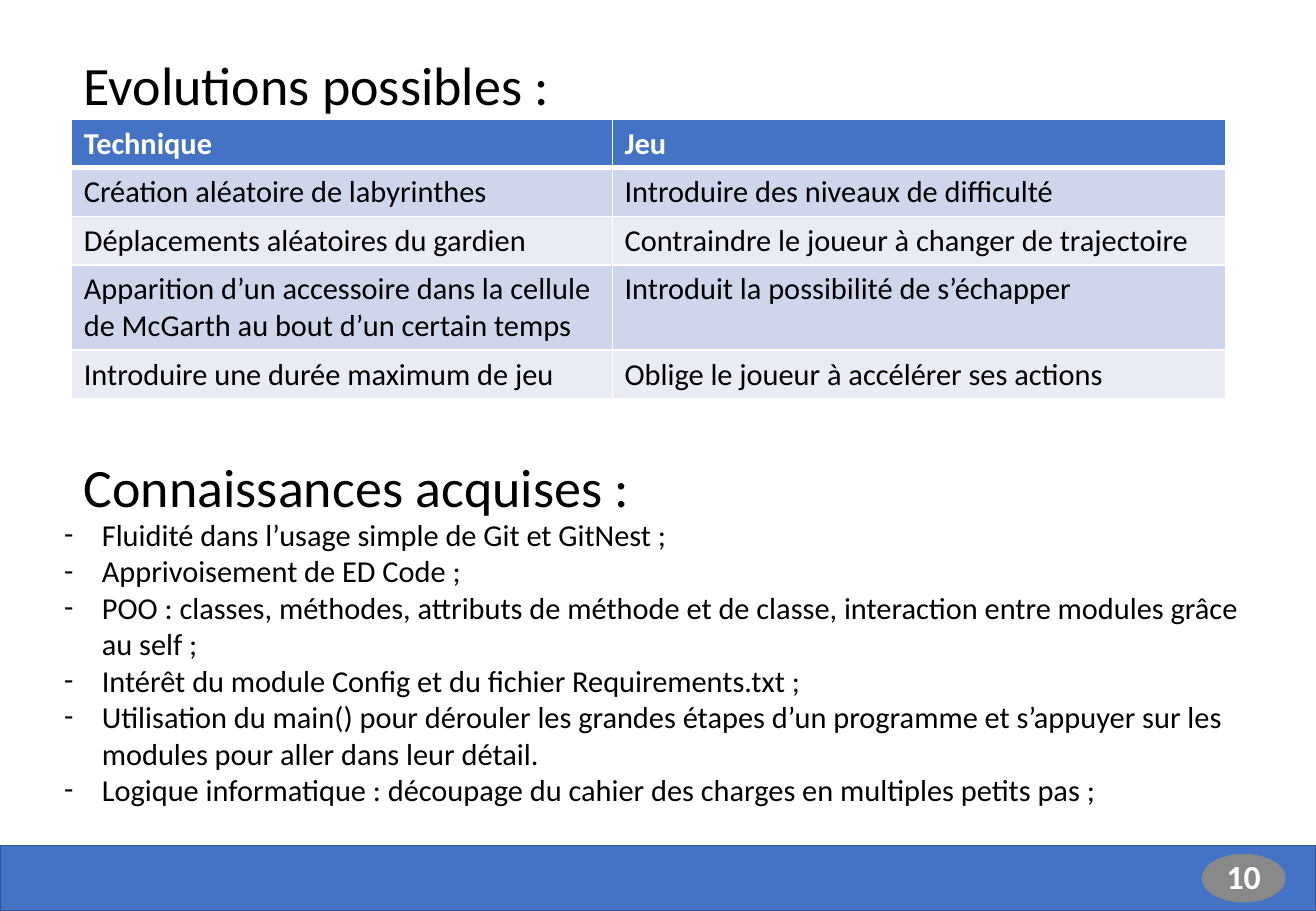
from lxml import etree
from pptx import Presentation
from pptx.dml.color import RGBColor
from pptx.enum.shapes import MSO_SHAPE
from pptx.enum.text import MSO_ANCHOR, PP_ALIGN
from pptx.oxml.ns import qn
from pptx.util import Inches, Pt

RECTANGLE, OVAL = MSO_SHAPE.RECTANGLE, MSO_SHAPE.OVAL
BOTTOM, MIDDLE = MSO_ANCHOR.BOTTOM, MSO_ANCHOR.MIDDLE
CENTER = PP_ALIGN.CENTER

COLORS = {
    "blue": "4472C4",
    "outline": "325491",
    "badge": "898989",
    "band_dark": "CFD5EA",
    "band_light": "E9EBF5",
    "white": "FFFFFF",
    "black": "000000",
}
HEADING = {"size": Pt(32), "bold": False}
BODY = {"size": Pt(18), "bold": False}
HEADER = {"size": Pt(18), "bold": True}
NUMBER = {"size": Pt(20), "bold": True}

EVOLUTIONS = [
    ("Technique", "Jeu"),
    ("Création aléatoire de labyrinthes", "Introduire des niveaux de difficulté"),
    ("Déplacements aléatoires du gardien", "Contraindre le joueur à changer de trajectoire"),
    ("Apparition d’un accessoire dans la cellule de McGarth au bout d’un certain temps",
     "Introduit la possibilité de s’échapper"),
    ("Introduire une durée maximum de jeu", "Oblige le joueur à accélérer ses actions"),
]
SKILLS = [
    "Fluidité dans l’usage simple de Git et GitNest ;",
    "Apprivoisement de ED Code ;",
    "POO : classes, méthodes, attributs de méthode et de classe, interaction entre modules grâce au self ;",
    "Intérêt du module Config et du fichier Requirements.txt ;",
    "Utilisation du main() pour dérouler les grandes étapes d’un programme et s’appuyer sur les "
    "modules pour aller dans leur détail.",
    "Logique informatique : découpage du cahier des charges en multiples petits pas ;",
]


def rgb(name):
    return RGBColor.from_string(COLORS[name])


def write(paragraph, text, style, color="black"):
    run = paragraph.add_run()
    run.text = text
    run.font.name = "Calibri"
    run.font.color.rgb = rgb(color)
    for attribute, value in style.items():
        setattr(run.font, attribute, value)


def add_plain_shape(slide, kind, box, fill):
    shape = slide.shapes.add_shape(kind, *map(Inches, box))
    shape.shadow.inherit = False
    shape.fill.solid()
    shape.fill.fore_color.rgb = rgb(fill)
    shape.line.fill.background()
    return shape


def add_footer(slide, box, number):
    left, top, width, height = box
    band = add_plain_shape(slide, RECTANGLE, box, "blue")
    band.line.color.rgb = rgb("outline")
    band.line.width = Pt(1)
    badge_box = (left + width - 0.94, top + 0.07, 0.69, height - 0.14)
    badge = add_plain_shape(slide, OVAL, badge_box, "badge")
    frame = badge.text_frame
    frame.word_wrap = False
    frame.vertical_anchor = MIDDLE
    paragraph = frame.paragraphs[0]
    paragraph.alignment = CENTER
    paragraph.line_spacing = 0.9
    paragraph.space_after = Pt(6)
    write(paragraph, number, NUMBER, "white")


def add_heading(slide, box, text):
    frame = slide.shapes.add_textbox(*map(Inches, box)).text_frame
    frame.word_wrap = True
    frame.vertical_anchor = BOTTOM
    frame.paragraphs[0].line_spacing = 0.9
    write(frame.paragraphs[0], text, HEADING)


def add_skills(slide, box, skills):
    frame = slide.shapes.add_textbox(*map(Inches, box)).text_frame
    frame.word_wrap = True
    for index, skill in enumerate(skills):
        paragraph = frame.add_paragraph() if index else frame.paragraphs[0]
        properties = paragraph._p.get_or_add_pPr()
        properties.set("marL", str(Inches(0.31)))
        properties.set("indent", str(Inches(-0.31)))
        etree.SubElement(properties, qn("a:buFont"), typeface="Calibri")
        etree.SubElement(properties, qn("a:buChar"), char="-")
        write(paragraph, skill, BODY)


def add_borders(cell, widths):
    properties = cell._tc.get_or_add_tcPr()
    for side, width in widths.items():
        line = etree.SubElement(properties, qn(f"a:ln{side}"), w=str(Pt(width)))
        fill = etree.SubElement(line, qn("a:solidFill"))
        etree.SubElement(fill, qn("a:srgbClr"), val=COLORS["white"])


def add_evolutions(slide, box, column_widths, row_heights):
    table = slide.shapes.add_table(
        len(EVOLUTIONS), len(column_widths), *map(Inches, box)).table
    for column, width in zip(table.columns, column_widths):
        column.width = Inches(width)
    for index, (row, height, texts) in enumerate(zip(table.rows, row_heights, EVOLUTIONS)):
        row.height = Inches(height)
        is_header = index == 0
        band = "blue" if is_header else ("band_light", "band_dark")[index % 2]
        widths = {"L": 1, "R": 1, "T": 3 if index == 1 else 1, "B": 3 if is_header else 1}
        for cell, text in zip(row.cells, texts):
            add_borders(cell, widths)
            cell.fill.solid()
            cell.fill.fore_color.rgb = rgb(band)
            write(cell.text_frame.paragraphs[0], text,
                  HEADER if is_header else BODY, "white" if is_header else "black")


def build_outlook_slide(presentation):
    slide = presentation.slides.add_slide(presentation.slide_layouts[6])
    add_footer(slide, (0, 6.96, 10.83, 0.54), "10")
    add_heading(slide, (0.59, 0.06, 7.68, 0.95), "Evolutions possibles :")
    add_heading(slide, (0.59, 3.37, 7.68, 0.95), "Connaissances acquises :")
    add_skills(slide, (0.43, 4.2, 9.99, 2.52), SKILLS)
    add_evolutions(slide, (0.59, 0.98, 9.5, 2.32), (4.45, 5.05), (0.4, 0.4, 0.4, 0.7, 0.4))


presentation = Presentation()
presentation.slide_width = Inches(10.83)
presentation.slide_height = Inches(7.5)
build_outlook_slide(presentation)
presentation.save("out.pptx")
